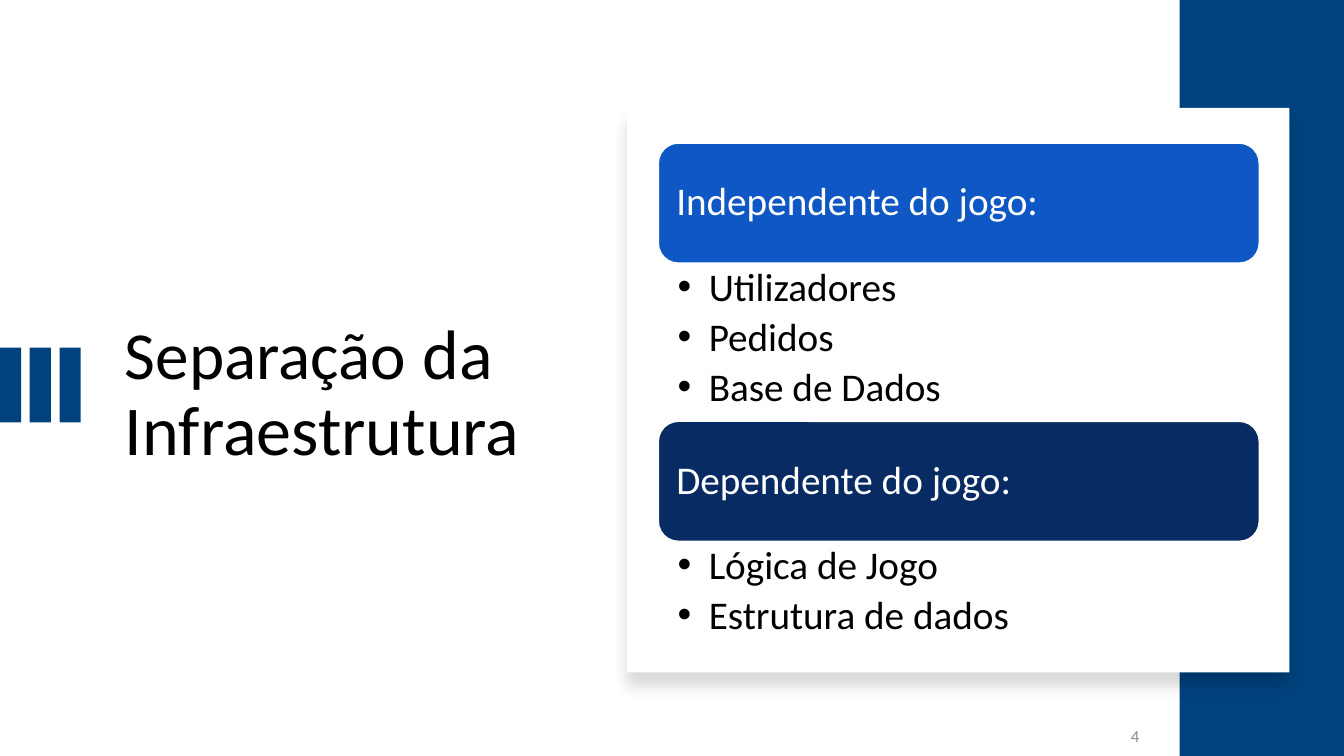
"""Build the slide on splitting game infrastructure."""
from dataclasses import dataclass

from lxml.etree import SubElement
from pptx import Presentation
from pptx.dml.color import RGBColor
from pptx.enum.shapes import MSO_SHAPE
from pptx.enum.text import MSO_ANCHOR, PP_ALIGN
from pptx.oxml.ns import qn
from pptx.util import Inches, Pt


@dataclass(frozen=True)
class Theme:
    """Colours, type sizes and font."""
    navy: str = "00427E"
    blue: str = "0E57C4"
    deep: str = "072B62"
    white: str = "FFFFFF"
    black: str = "000000"
    gray: str = "8C8C8C"
    font: str = "Calibri"
    title: float = 48
    large: float = 50
    body: float = 28
    small: float = 12


THEME = Theme()


def apply(item, form):
    """Set each format value on an item."""
    for name, value in form.items():
        setattr(item, name, value)


def add_xml(parent, tag, **attrs):
    """Append a drawing element with attributes."""
    return SubElement(parent, qn(tag), {k: str(v) for k, v in attrs.items()})


def add_box(slide, kind, area, fill, line=None):
    """Draw a filled preset shape."""
    box = slide.shapes.add_shape(kind, *map(Inches, area))
    box.shadow.inherit = False
    box.fill.solid()
    box.fill.fore_color.rgb = RGBColor.from_string(fill)
    if line:
        box.line.color.rgb = RGBColor.from_string(line)
        box.line.width = Pt(1)
    else:
        box.line.fill.background()
    return box


def add_label(slide, area):
    """Add an empty text box."""
    return slide.shapes.add_textbox(*map(Inches, area))


def set_frame(shape, anchor, pads=(0.1, 0.05, 0.1, 0.05)):
    """Set wrap, anchor and insets of a text frame."""
    frame = shape.text_frame
    left, top, right, bottom = map(Inches, pads)
    apply(frame, {"word_wrap": True, "vertical_anchor": anchor,
                  "margin_left": left, "margin_top": top,
                  "margin_right": right, "margin_bottom": bottom})
    return frame


def add_run(para, text, size, color):
    """Add a styled run."""
    run = para.add_run()
    run.text = text
    apply(run.font, {"name": THEME.font, "size": Pt(size)})
    run.font.color.rgb = RGBColor.from_string(color)


def add_shade(box):
    """Cast a soft shadow below a box."""
    effect = box.element.spPr.find(qn("a:effectLst"))
    shade = add_xml(effect, "a:outerShdw", blurRad=Pt(11), dist=Pt(10),
                    dir=90 * 60000, algn="t", rotWithShape=0)
    color = add_xml(shade, "a:srgbClr", val=THEME.black)
    add_xml(color, "a:alpha", val=15000)


def add_head(slide, top, text, fill):
    """Draw a rounded heading bar."""
    bar = add_box(slide, MSO_SHAPE.ROUNDED_RECTANGLE,
                  (6.53, top, 5.96, 1.19), fill, THEME.white)
    para = set_frame(bar, MSO_ANCHOR.MIDDLE, (0.12,) * 4).paragraphs[0]
    apply(para, {"alignment": PP_ALIGN.LEFT, "line_spacing": 0.9})
    add_run(para, text, THEME.body, THEME.white)


def add_list(slide, top, high, items):
    """Write a bulleted list."""
    label = add_label(slide, (6.53, top, 5.96, high))
    frame = set_frame(label, MSO_ANCHOR.TOP, (0.19, 0.04, 0.22, 0.04))
    for order, item in enumerate(items):
        para = frame.add_paragraph() if order else frame.paragraphs[0]
        apply(para, {"level": 1, "line_spacing": 0.9,
                     "space_after": Pt(THEME.body * 0.2)})
        props = para._p.get_or_add_pPr()
        props.set("marL", str(Inches(0.31)))
        props.set("indent", str(Inches(-0.31)))
        add_xml(props, "a:buFont", typeface="Arial")
        add_xml(props, "a:buChar", char="•")
        add_run(para, item, THEME.body, THEME.black)


def add_title(slide):
    """Write the slide title."""
    label = add_label(slide, (1.14, 1.62, 4.26, 4.59))
    para = set_frame(label, MSO_ANCHOR.MIDDLE).paragraphs[0]
    para.line_spacing = 0.9
    add_run(para, "Separação", THEME.title, THEME.black)
    add_run(para, " da Infraestrutura", THEME.large, THEME.black)


def add_number(slide):
    """Write the page number."""
    label = add_label(slide, (10.35, 7.1, 1.05, 0.4))
    para = set_frame(label, MSO_ANCHOR.MIDDLE).paragraphs[0]
    apply(para, {"alignment": PP_ALIGN.RIGHT, "space_after": Pt(6)})
    add_run(para, "4", THEME.small, THEME.gray)


def main():
    """Build and save the slide."""
    deck = Presentation()
    apply(deck, {"slide_width": Inches(13.33), "slide_height": Inches(7.5)})
    slide = deck.slides.add_slide(deck.slide_layouts[6])
    add_title(slide)
    for step in range(3):
        add_box(slide, MSO_SHAPE.RECTANGLE,
                (step * 0.295, 3.45, 0.21, 0.74), THEME.navy)
    add_box(slide, MSO_SHAPE.RECTANGLE, (11.7, 0, 1.63, 7.5), THEME.navy)
    add_shade(add_box(slide, MSO_SHAPE.RECTANGLE,
                      (6.22, 1.07, 6.57, 5.6), THEME.white))
    add_number(slide)
    groups = (
        (1.42, 1.58, THEME.blue, "Independente do jogo:",
         ("Utilizadores", "Pedidos", "Base de Dados")),
        (4.18, 1.05, THEME.deep, "Dependente do jogo:",
         ("Lógica de Jogo", "Estrutura de dados")),
    )
    for top, high, fill, head, items in groups:
        add_head(slide, top, head, fill)
        add_list(slide, top + 1.19, high, items)
    deck.save("out.pptx")


if __name__ == "__main__":
    main()
